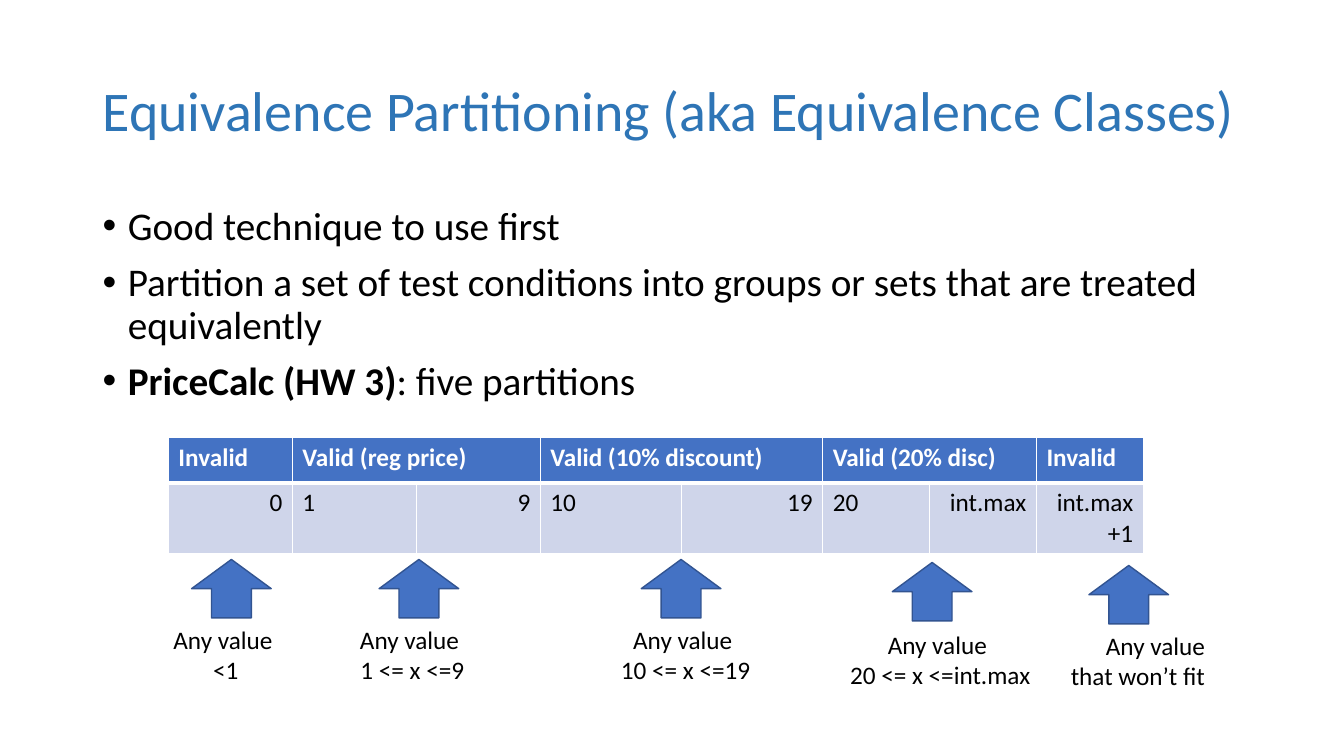
from lxml.etree import SubElement
from pptx import Presentation
from pptx.dml.color import RGBColor
from pptx.enum.shapes import MSO_SHAPE
from pptx.enum.text import MSO_ANCHOR, PP_ALIGN
from pptx.oxml.ns import qn
from pptx.util import Inches, Pt


def color(hex_value):
    return RGBColor.from_string(hex_value)


def write(paragraph, text, size, hex_value="000000", bold=False, **layout):
    run = paragraph.add_run()
    run.text = text
    run.font.color.rgb = color(hex_value)
    for key, value in {"name": "Calibri", "size": Pt(size), "bold": bold}.items():
        setattr(run.font, key, value)
    for key, value in layout.items():
        setattr(paragraph, key, value)


prs = Presentation()
prs.slide_width, prs.slide_height = Inches(13.33), Inches(7.5)
slide = prs.slides.add_slide(prs.slide_layouts[6])
shapes = slide.shapes

# Title
title = shapes.add_textbox(Inches(0.92), Inches(0.4), Inches(11.5), Inches(1.45)).text_frame
title.word_wrap = True
title.vertical_anchor = MSO_ANCHOR.MIDDLE
write(title.paragraphs[0], "Equivalence Partitioning (aka Equivalence Classes)",
      40, "2E75B6", line_spacing=0.9)

# Bullet points, each a list of (text, bold)
points = [
    [("Good technique to use first", False)],
    [("Partition a set of test conditions into groups or sets that are treated equivalently", False)],
    [("PriceCalc (HW 3)", True), (": five partitions", False)],
]
body = shapes.add_textbox(Inches(0.92), Inches(2), Inches(11.5), Inches(2.3)).text_frame
body.word_wrap = True
for i, point in enumerate(points):
    paragraph = body.add_paragraph() if i else body.paragraphs[0]
    for text, bold in point:
        write(paragraph, text, 28, bold=bold, line_spacing=0.9, space_before=Pt(10))
    properties = paragraph._p.get_or_add_pPr()
    properties.set("marL", str(Inches(0.25)))
    properties.set("indent", str(-Inches(0.25)))
    SubElement(properties, qn("a:buFont"), typeface="Arial")
    SubElement(properties, qn("a:buChar"), char="•")

# Partition table: header text by first column, boundary values with alignment
column_widths = [1.23] * 3 + [1.4] * 2 + [1.06] * 3
headers = {0: "Invalid", 1: "Valid (reg price)", 3: "Valid (10% discount)",
           5: "Valid (20% disc)", 7: "Invalid"}
left, right = PP_ALIGN.LEFT, PP_ALIGN.RIGHT
boundaries = [("0", right), ("1", left), ("9", right), ("10", left), ("19", right),
              ("20", left), ("int.max", right), ("int.max+1", right)]
table = shapes.add_table(2, 8, Inches(1.67), Inches(4.34),
                         Inches(sum(column_widths)), Inches(1.15)).table
for column, width in zip(table.columns, column_widths):
    column.width = Inches(width)
for row, height in zip(table.rows, (0.45, 0.7)):
    row.height = Inches(height)
for first in (1, 3, 5):
    table.cell(0, first).merge(table.cell(0, first + 1))

for r, fill in enumerate(("4472C4", "CFD5EA")):
    for c in range(8):
        cell = table.cell(r, c)
        header_line = {0: "lnB", 1: "lnT"}[r]
        for side in ("lnL", "lnR", "lnT", "lnB"):
            line_width = Pt(3 if side == header_line else 1)
            border = SubElement(cell._tc.get_or_add_tcPr(), qn(f"a:{side}"), w=str(line_width))
            SubElement(SubElement(border, qn("a:solidFill")), qn("a:srgbClr"), val="FFFFFF")
        cell.fill.solid()
        cell.fill.fore_color.rgb = color(fill)
for c, header in headers.items():
    write(table.cell(0, c).text_frame.paragraphs[0], header, 18, "FFFFFF", bold=True)
for c, (value, alignment) in enumerate(boundaries):
    write(table.cell(1, c).text_frame.paragraphs[0], value, 18, alignment=alignment)

# Arrows and partition labels: arrow left, top, label left, top, width, lines
partitions = [
    (1.9, 5.55, 1.59, 6.14, 1.3, ["Any value ", "<1"]),
    (3.76, 5.55, 3.44, 6.14, 1.3, ["Any value ", "1 <= x <=9"]),
    (6.36, 5.55, 6.05, 6.14, 1.5, ["Any value ", "10 <= x <=19"]),
    (8.85, 5.58, 8.32, 6.19, 2.01, ["Any value ", "20 <= x <=int.max"]),
    (10.8, 5.61, 10.49, 6.2, 1.56, ["Any value that won’t fit"]),
]
for arrow_left, arrow_top, label_left, label_top, label_width, lines in partitions:
    arrow = shapes.add_shape(MSO_SHAPE.UP_ARROW, Inches(arrow_left), Inches(arrow_top),
                             Inches(0.79), Inches(0.58))
    arrow.shadow.inherit = False
    arrow.fill.solid()
    arrow.fill.fore_color.rgb = color("4472C4")
    arrow.line.color.rgb = color("325491")
    arrow.line.width = Pt(1)

    label = shapes.add_textbox(Inches(label_left), Inches(label_top),
                               Inches(label_width), Inches(0.71)).text_frame
    wraps = len(lines) == 1
    label.word_wrap = wraps
    for i, text in enumerate(lines):
        paragraph = label.add_paragraph() if i else label.paragraphs[0]
        write(paragraph, text, 18, alignment=right if wraps else PP_ALIGN.CENTER)

prs.save("out.pptx")
